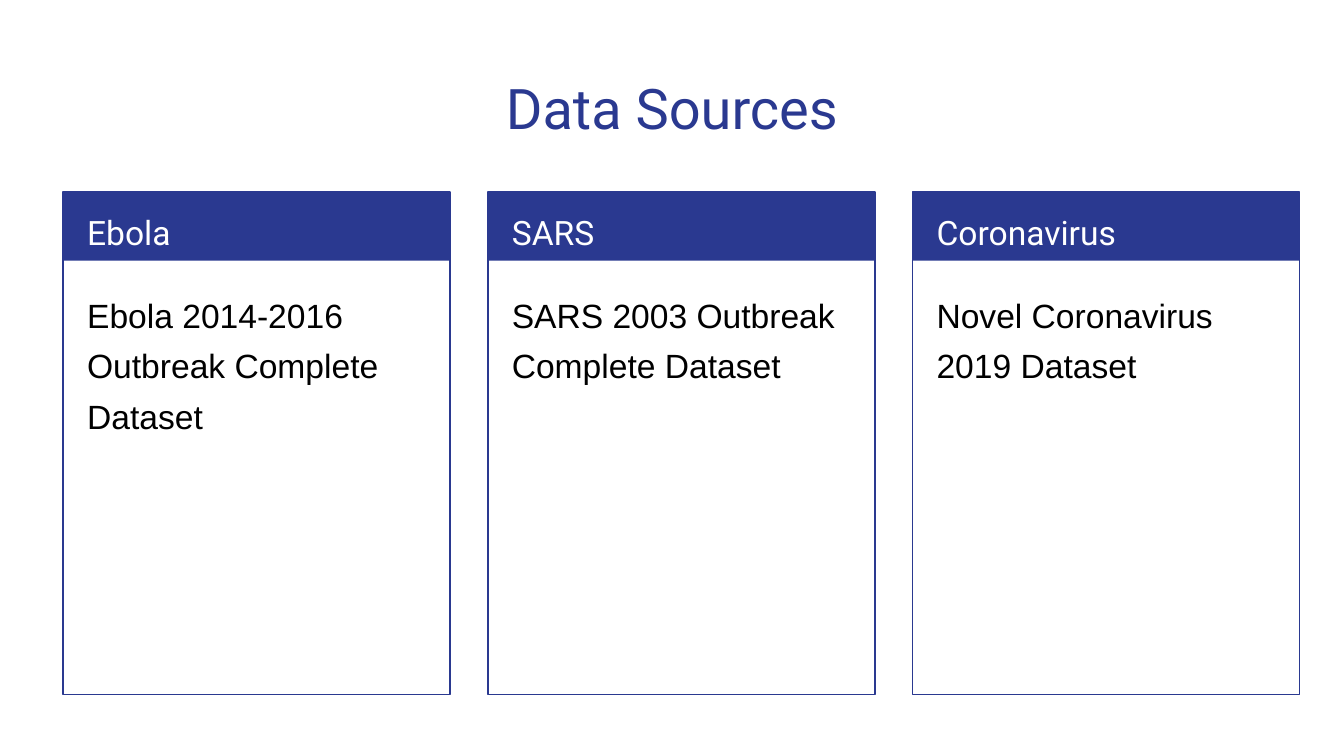
from dataclasses import dataclass

from pptx import Presentation
from pptx.dml.color import RGBColor
from pptx.enum.shapes import MSO_SHAPE
from pptx.enum.text import MSO_ANCHOR, PP_ALIGN
from pptx.util import Inches, Pt

RECTANGLE = MSO_SHAPE.RECTANGLE
TOP = MSO_ANCHOR.TOP
LEFT, CENTER = PP_ALIGN.LEFT, PP_ALIGN.CENTER

TITLE = "Data Sources"
SOURCES = [
    ("Ebola", "Ebola 2014-2016 Outbreak Complete Dataset"),
    ("SARS", "SARS 2003 Outbreak Complete Dataset"),
    ("Coronavirus", "Novel Coronavirus 2019 Dataset"),
]


@dataclass(frozen=True)
class Theme:
    navy: RGBColor = RGBColor(0x2A, 0x39, 0x90)
    white: RGBColor = RGBColor(0xFF, 0xFF, 0xFF)
    black: RGBColor = RGBColor(0x00, 0x00, 0x00)
    heading_font: str = "Roboto"
    body_font: str = "Arial"
    title_size: int = 30
    text_size: int = 18


THEME = Theme()
SLIDE_WIDTH = 10
SLIDE_HEIGHT = SLIDE_WIDTH * 9 / 16
TITLE_MARGIN, TITLE_TOP, TITLE_HEIGHT = 0.34, 0.45, 0.66
CARD_LEFT, CARD_TOP = 0.47, 1.43
CARD_WIDTH, CARD_HEIGHT, CARD_GAP = 2.88, 3.74, 0.28
HEADER_HEIGHT = 0.51
TEXT_MARGIN = 0.08
TEXT_INSET = 0.1


def set_text(shape, text, font_name, size, color, alignment=LEFT, line_spacing=1.0):
    frame = shape.text_frame
    frame.word_wrap = True
    frame.vertical_anchor = TOP
    frame.margin_left = frame.margin_right = Inches(TEXT_INSET)
    frame.margin_top = frame.margin_bottom = Inches(TEXT_INSET)
    frame.text = text
    paragraph = frame.paragraphs[0]
    paragraph.alignment = alignment
    paragraph.line_spacing = line_spacing
    paragraph.font.name = font_name
    paragraph.font.size = Pt(size)
    paragraph.font.color.rgb = color


def add_title(slide):
    title = slide.shapes.title
    title.left, title.top = Inches(TITLE_MARGIN), Inches(TITLE_TOP)
    title.width = Inches(SLIDE_WIDTH - 2 * TITLE_MARGIN)
    title.height = Inches(TITLE_HEIGHT)
    set_text(title, TITLE, THEME.heading_font, THEME.title_size, THEME.navy, CENTER)


def add_rectangle(shapes, left, height):
    rectangle = shapes.add_shape(
        RECTANGLE, Inches(left), Inches(CARD_TOP), Inches(CARD_WIDTH), Inches(height)
    )
    rectangle.shadow.inherit = False
    return rectangle


def add_text(slide, left, top, height, text, font_name, color, line_spacing):
    box = slide.shapes.add_textbox(
        Inches(left + TEXT_MARGIN), Inches(top),
        Inches(CARD_WIDTH - 2 * TEXT_MARGIN), Inches(height),
    )
    set_text(box, text, font_name, THEME.text_size, color, LEFT, line_spacing)


def add_card(slide, left, heading, description):
    group = slide.shapes.add_group_shape()
    header = add_rectangle(group.shapes, left, HEADER_HEIGHT)
    header.fill.solid()
    header.fill.fore_color.rgb = THEME.navy
    header.line.fill.background()

    border = add_rectangle(group.shapes, left, CARD_HEIGHT)
    border.fill.background()
    border.line.color.rgb = THEME.navy
    border.line.width = Pt(0.75)

    add_text(slide, left, CARD_TOP, HEADER_HEIGHT,
             heading, THEME.heading_font, THEME.white, 1.15)
    body_top = CARD_TOP + HEADER_HEIGHT + TEXT_MARGIN
    body_height = CARD_HEIGHT - HEADER_HEIGHT - 2 * TEXT_MARGIN
    add_text(slide, left, body_top, body_height,
             description, THEME.body_font, THEME.black, 1.25)


def main():
    presentation = Presentation()
    presentation.slide_width = Inches(SLIDE_WIDTH)
    presentation.slide_height = Inches(SLIDE_HEIGHT)
    slide = presentation.slides.add_slide(presentation.slide_layouts[5])
    add_title(slide)
    for column, (heading, description) in enumerate(SOURCES):
        left = CARD_LEFT + column * (CARD_WIDTH + CARD_GAP)
        add_card(slide, left, heading, description)
    presentation.save("out.pptx")


if __name__ == "__main__":
    main()
